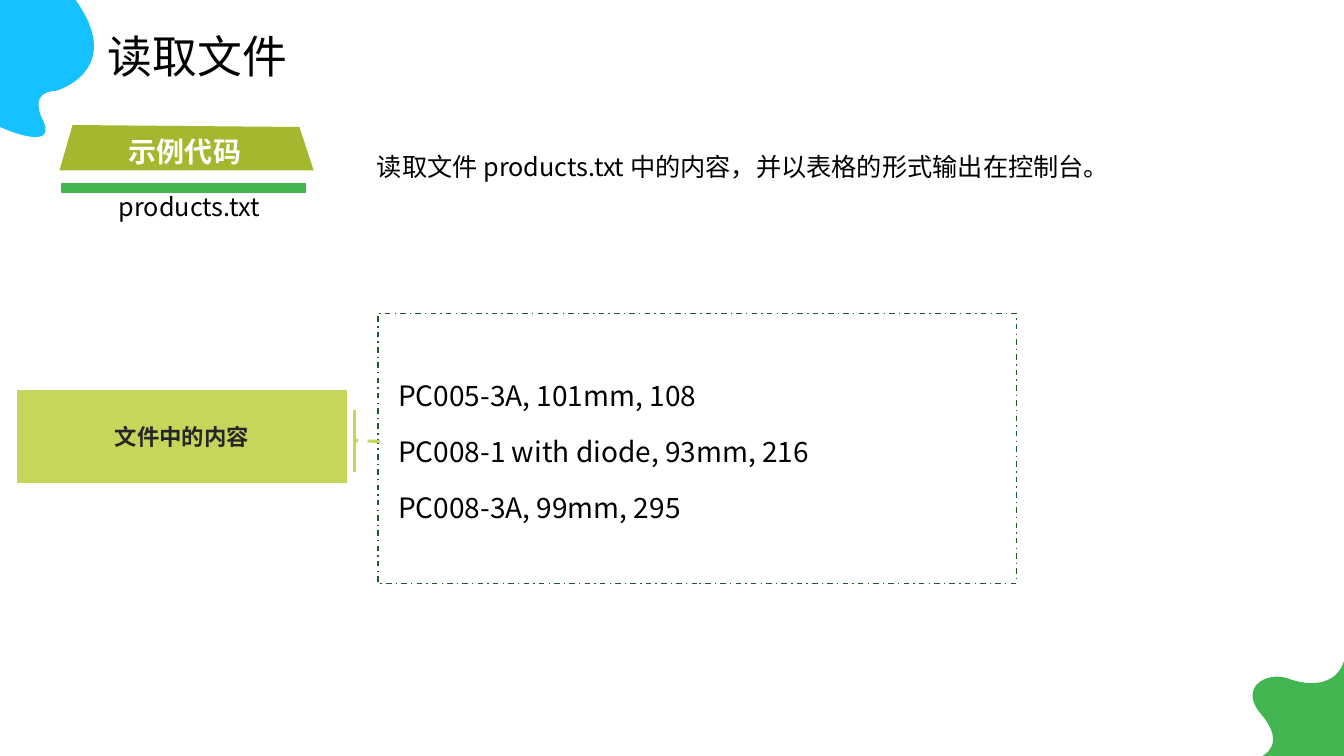
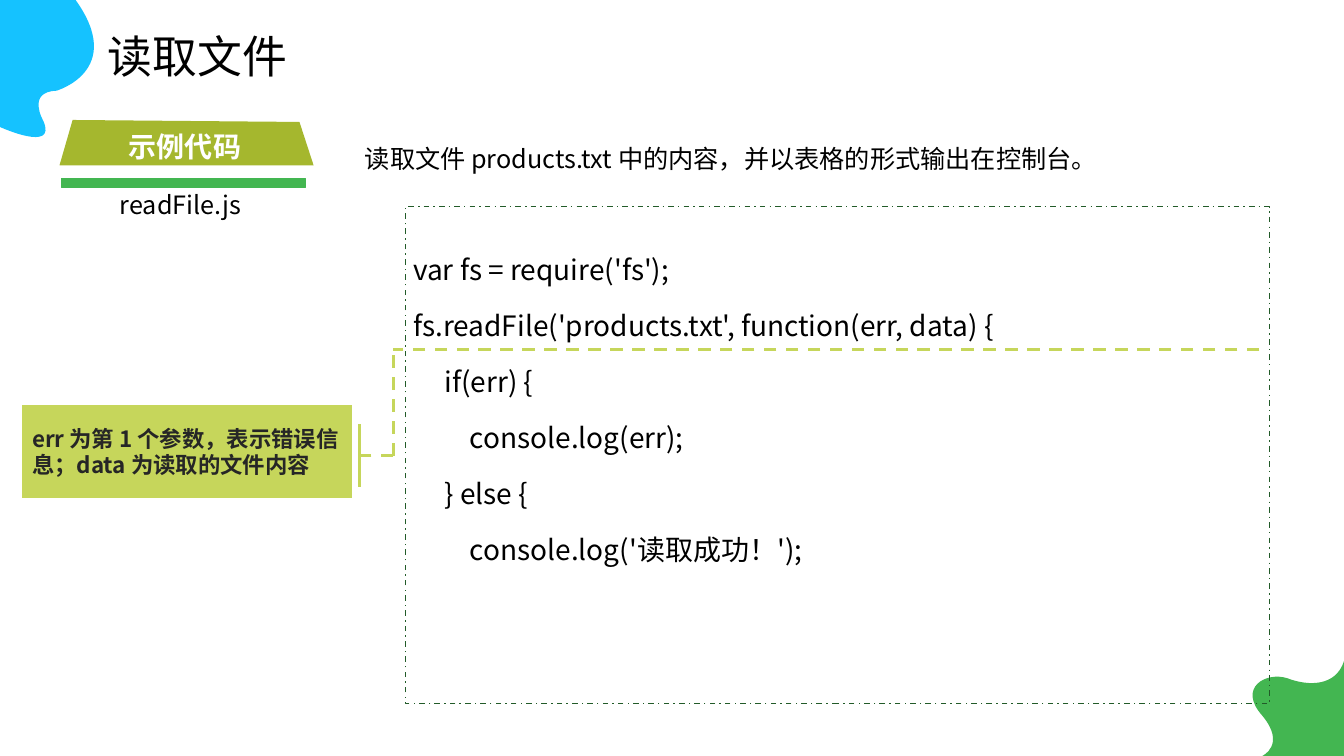
from lxml.etree import SubElement
from pptx import Presentation
from pptx.dml.color import RGBColor
from pptx.enum.dml import MSO_LINE
from pptx.enum.shapes import MSO_CONNECTOR, MSO_SHAPE
from pptx.enum.text import MSO_ANCHOR, PP_ALIGN
from pptx.oxml.ns import qn
from pptx.util import Inches, Pt

FONT = "Noto Sans CJK SC"
BLACK = RGBColor(0x00, 0x00, 0x00)
WHITE = RGBColor(0xFF, 0xFF, 0xFF)
INK = RGBColor(0x26, 0x26, 0x26)
BLUE = RGBColor(0x15, 0xC2, 0xFF)
GREEN = RGBColor(0x43, 0xB6, 0x51)
DARK_GREEN = RGBColor(0x22, 0x5B, 0x29)
OLIVE = RGBColor(0xA5, 0xB7, 0x2E)
LIME = RGBColor(0xC6, 0xD6, 0x5B)

TITLE = "读取文件"
TASK = "读取文件 products.txt 中的内容，并以表格的形式输出在控制台。"
BADGE = "示例代码"

BLOBS = [
    (BLUE, (0, 1.26), [
        (0, 1.26), (0.57, 1.52), (0.43, 1.2),
        (0.43, 1.2), (0.26, 0.91), (0.56, 0.9),
        (0.56, 0.9), (1.25, 0.7), (0.75, 0),
        (0, 0), (0, 0), (0, 0),
    ]),
    (GREEN, (12.52, 7.5), [
        (12.52, 7.5), (12.76, 7.39), (12.52, 7.1),
        (12.27, 6.82), (12.56, 6.66), (12.77, 6.73),
        (12.98, 6.81), (13.25, 6.81), (13.33, 6.56),
        (13.33, 7.5), (13.33, 7.5), (13.33, 7.5),
    ]),
]

SLIDES = [
    {
        "badge_top": 1.24,
        "file": ("products.txt", 1.08, 1.85),
        "task": (3.64, 1.45),
        "code_box": (3.85, 3.54, 5.53, 1.75),
        "frame": (3.75, 3.11, 6.33, 2.68),
        "code": [
            "PC005-3A, 101mm, 108",
            "PC008-1 with diode, 93mm, 216",
            "PC008-3A, 99mm, 295",
        ],
        "callout": ("文件中的内容", 0.17, 3.87, PP_ALIGN.CENTER),
        "dashes": [(3.77, 4.38, 3.51, 4.37)],
        "bar": (3.52, 4.07, 3.52, 4.68),
    },
    {
        "badge_top": 1.19,
        "file": ("readFile.js", 1.09, 1.83),
        "task": (3.52, 1.37),
        "code_box": (4, 2.29, 8.85, 4.04),
        "frame": (4.02, 2.05, 8.57, 4.93),
        "code": [
            "var fs = require('fs');",
            "fs.readFile('products.txt', function(err, data) {",
            "     if(err) {",
            "         console.log(err);",
            "     } else {",
            "         console.log('读取成功！');",
        ],
        "callout": ("err 为第 1 个参数，表示错误信息；data 为读取的文件内容",
                    0.22, 4.02, PP_ALIGN.LEFT),
        "dashes": [
            (12.49, 3.47, 3.9, 3.47),
            (3.9, 4.52, 3.9, 3.51),
            (3.9, 4.52, 3.52, 4.52),
        ],
        "bar": (3.57, 4.21, 3.57, 4.83),
    },
]


def write(sp, lines, size, color, bold=False, align=PP_ALIGN.LEFT,
          anchor=MSO_ANCHOR.TOP, wrap=True, spacing=None, before=0):
    tf = sp.text_frame
    tf.text = "\n".join(lines)
    tf.word_wrap = wrap
    tf.vertical_anchor = anchor
    for i, p in enumerate(tf.paragraphs):
        p.alignment = align
        p.line_spacing = spacing
        p.space_before = Pt(before if i else 0)
        for r in p.runs:
            r.font.size = Pt(size)
            r.font.bold = bold
            r.font.color.rgb = color
            r.font.name = FONT
            SubElement(r.font._element, qn("a:ea")).set("typeface", FONT)


def paint(sp, fill=None, line=None):
    sp.shadow.inherit = False
    if fill is None:
        sp.fill.background()
    else:
        sp.fill.solid()
        sp.fill.fore_color.rgb = fill
    if line is None:
        sp.line.fill.background()
    else:
        sp.line.color.rgb = line
        sp.line.width = Pt(1)


prs = Presentation()
prs.slide_width = Inches(13.33)
prs.slide_height = Inches(7.5)

for page in SLIDES:
    s = prs.slides.add_slide(prs.slide_layouts[5])

    for color, start, controls in BLOBS:
        fb = s.shapes.build_freeform(Inches(start[0]), Inches(start[1]))
        fb.add_line_segments([(Inches(x), Inches(y)) for x, y in controls + [start]])
        sp = fb.convert_to_shape()
        paint(sp, color)
        segments = list(sp._element.iter(qn("a:lnTo")))
        for i in range(0, len(controls), 3):
            curve = sp._element.makeelement(qn("a:cubicBezTo"))
            segments[i].addprevious(curve)
            for segment in segments[i:i + 3]:
                curve.append(segment[0])
                segment.getparent().remove(segment)

    title = s.shapes.title
    title.left, title.top = Inches(0.97), Inches(0.23)
    title.width, title.height = Inches(2.2), Inches(0.64)
    write(title, [TITLE], 32, BLACK, wrap=False)

    sp = s.shapes.add_textbox(*map(Inches, page["code_box"]))
    write(sp, page["code"], 20, BLACK, spacing=Pt(36), before=4)

    sp = s.shapes.add_shape(MSO_SHAPE.RECTANGLE, *map(Inches, page["frame"]))
    paint(sp, line=DARK_GREEN)
    sp.line.dash_style = MSO_LINE.DASH_DOT

    text, x, y, align = page["callout"]
    sp = s.shapes.add_shape(MSO_SHAPE.RECTANGLE, Inches(x), Inches(y), Inches(3.27), Inches(0.92))
    paint(sp, LIME)
    write(sp, [text], 16, INK, bold=True, align=align, anchor=MSO_ANCHOR.MIDDLE)

    for ends in page["dashes"] + [page["bar"]]:
        cn = s.shapes.add_connector(MSO_CONNECTOR.STRAIGHT, *map(Inches, ends))
        cn.line.color.rgb = LIME
        cn.line.width = Pt(2.25)
        if ends != page["bar"]:
            cn.line.dash_style = MSO_LINE.DASH
        SubElement(cn._element.spPr, qn("a:effectLst"))

    x, y = page["task"]
    sp = s.shapes.add_textbox(Inches(x), Inches(y), Inches(8.41), Inches(0.4))
    write(sp, [TASK], 18, BLACK)

    text, x, y = page["file"]
    sp = s.shapes.add_textbox(Inches(x), Inches(y), Inches(2.67), Inches(0.4))
    write(sp, [text], 18, BLACK)

    top = page["badge_top"]
    sp = s.shapes.add_shape(MSO_SHAPE.RECTANGLE, Inches(0.61), Inches(top + 0.58),
                            Inches(2.42), Inches(0.09))
    paint(sp, GREEN, GREEN)

    fb = s.shapes.build_freeform(Inches(0.72), Inches(top))
    fb.add_line_segments([
        (Inches(x), Inches(top + dy)) for x, dy in [(2.97, 0.02), (3.11, 0.45), (0.59, 0.45)]
    ])
    paint(fb.convert_to_shape(), OLIVE)

    sp = s.shapes.add_textbox(Inches(1.18), Inches(top + 0.05), Inches(1.31), Inches(0.44))
    write(sp, [BADGE], 20, WHITE, bold=True, wrap=False)

prs.save("out.pptx")
